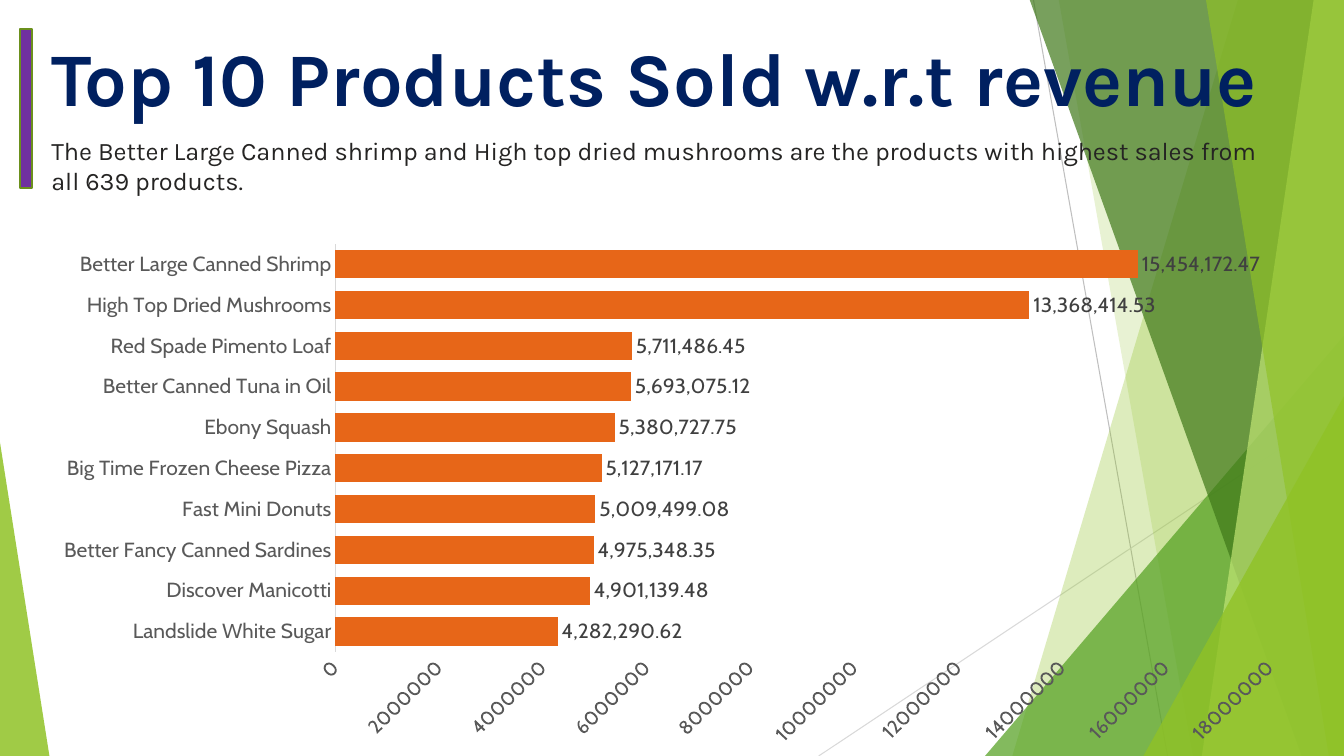
import dataclasses

import lxml.etree
import pptx
import pptx.chart.data
import pptx.dml.color
import pptx.enum.chart
import pptx.enum.shapes
import pptx.oxml.ns
import pptx.util

Inches = pptx.util.Inches
qn = pptx.oxml.ns.qn


@dataclasses.dataclass(frozen=True)
class Theme:
    lime: str = "90C226"
    leaf: str = "54A021"
    forest: str = "3F7819"
    pale: str = "C0E474"
    accent: str = "7030A0"
    accent_edge: str = "6B901C"
    bar: str = "E76618"
    heading: str = "002060"
    body: str = "252423"
    axis_text: str = "595959"
    label_text: str = "404040"
    light_line: str = "D9D9D9"
    line: str = "BFBFBF"
    text_font: str = "Karla"
    chart_font: str = "Cabin"
    title_size: int = 54
    body_size: int = 18
    label_size: int = 15
    value_size: int = 14
    hairline: float = 0.75


def rgb(code):
    return pptx.dml.color.RGBColor.from_string(code)


def style_font(font, name, size, color, bold=False):
    font.name = name
    font.size = pptx.util.Pt(size)
    font.color.rgb = rgb(color)
    font.bold = bold


def write_text(frame, text, **style):
    para = frame.paragraphs[0]
    span = para.add_run()
    span.text = text
    style_font(span.font, **style)


class SlideBuilder:
    def __init__(self, page, theme):
        self.page = page
        self.theme = theme

    def line(self, start, end, color):
        connector = self.page.shapes.add_connector(
            pptx.enum.shapes.MSO_CONNECTOR.STRAIGHT,
            *(Inches(value) for value in start + end))
        connector.line.color.rgb = rgb(color)
        connector.line.width = pptx.util.Pt(self.theme.hairline)
        lxml.etree.SubElement(connector.element.spPr, qn("a:effectLst"))

    def paint(self, shape, color, opacity=100):
        shape.shadow.inherit = False
        shape.fill.solid()
        shape.fill.fore_color.rgb = rgb(color)
        shape.line.fill.background()
        if opacity < 100:
            code = shape.element.spPr.find(qn("a:solidFill")).find(qn("a:srgbClr"))
            lxml.etree.SubElement(code, qn("a:alpha"), val=str(opacity * 1000))

    def band(self, top_left, bottom_left, color, opacity):
        top, bottom, right = -0.01, 7.5, 13.33
        corners = [(top_left, top), (right, top), (right, bottom), (bottom_left, bottom)]
        points = [(Inches(x), Inches(y)) for x, y in corners]
        outline = self.page.shapes.build_freeform(*points[0], scale=1.0)
        outline.add_line_segments(points[1:], close=True)
        self.paint(outline.convert_to_shape(), color, opacity)

    def shape(self, kind, area, color, opacity=100):
        shape = self.page.shapes.add_shape(kind, *(Inches(value) for value in area))
        self.paint(shape, color, opacity)
        return shape

    def triangle(self, area, apex, color, opacity):
        kind = pptx.enum.shapes.MSO_SHAPE.ISOSCELES_TRIANGLE
        self.shape(kind, area, color, opacity).adjustments[0] = apex

    def accent_bar(self, area):
        bar = self.shape(pptx.enum.shapes.MSO_SHAPE.MATH_MINUS, area, self.theme.accent)
        bar.rotation = 90
        bar.line.color.rgb = rgb(self.theme.accent_edge)
        bar.line.width = pptx.util.Pt(1.5)

    def text(self, area, text, inset_top=0, **style):
        box = self.page.shapes.add_textbox(*(Inches(value) for value in area))
        frame = box.text_frame
        frame.word_wrap = True
        frame.margin_left = frame.margin_right = frame.margin_bottom = 0
        frame.margin_top = Inches(inset_top)
        write_text(frame, text, name=self.theme.text_font, **style)

    def bar_chart(self, area, plot_area, products):
        theme = self.theme
        charts = pptx.enum.chart
        data = pptx.chart.data.CategoryChartData()
        data.categories = list(products)
        data.add_series("Series 1", list(products.values()))
        chart = self.page.shapes.add_chart(
            charts.XL_CHART_TYPE.BAR_CLUSTERED,
            *(Inches(value) for value in area), data).chart
        chart.has_legend = False
        chart.has_title = False
        style_font(chart.font, theme.chart_font, 10, "000000")

        plot = chart.plots[0]
        plot.gap_width = 44
        plot.vary_by_categories = False
        fill = plot.series[0].format.fill
        fill.solid()
        fill.fore_color.rgb = rgb(theme.bar)
        plot.has_data_labels = True
        labels = plot.data_labels
        labels.show_value = True
        labels.number_format = "#,##0.00"
        labels.number_format_is_linked = False
        labels.position = charts.XL_LABEL_POSITION.OUTSIDE_END
        style_font(labels.font, theme.chart_font, theme.label_size, theme.label_text)

        names, values = chart.category_axis, chart.value_axis
        for axis, size in ((names, theme.label_size), (values, theme.value_size)):
            axis.has_major_gridlines = False
            axis.major_tick_mark = axis.minor_tick_mark = charts.XL_TICK_MARK.NONE
            style_font(axis.tick_labels.font, theme.chart_font, size, theme.axis_text)
        names.format.line.color.rgb = rgb(theme.light_line)
        names.format.line.width = pptx.util.Pt(theme.hairline)
        values.format.line.fill.background()
        values.minimum_scale = 0
        values.maximum_scale = 18000000
        values.major_unit = 2000000
        values.tick_labels.number_format = "General"
        values.tick_labels.number_format_is_linked = False
        chart.element.xpath(".//c:valAx/c:txPr/a:bodyPr")[0].set("rot", "-2700000")
        self.place_plot(chart, plot_area)

    def place_plot(self, chart, plot_area):
        holder = chart.element.xpath(".//c:plotArea")[0]
        for old in holder.findall(qn("c:layout")):
            holder.remove(old)
        layout = lxml.etree.Element(qn("c:layout"))
        holder.insert(0, layout)
        manual = lxml.etree.SubElement(layout, qn("c:manualLayout"))
        settings = [("layoutTarget", "inner"), ("xMode", "edge"), ("yMode", "edge")]
        settings += zip("xywh", plot_area)
        for tag, value in settings:
            lxml.etree.SubElement(manual, qn("c:" + tag), val=str(value))


PRODUCTS = {
    "Landslide White Sugar": 4282290.62,
    "Discover Manicotti": 4901139.48,
    "Better Fancy Canned Sardines": 4975348.35,
    "Fast Mini Donuts": 5009499.08,
    "Big Time Frozen Cheese Pizza": 5127171.17,
    "Ebony Squash": 5380727.75,
    "Better Canned Tuna in Oil": 5693075.12,
    "Red Spade Pimento Loaf": 5711486.45,
    "High Top Dried Mushrooms": 13368414.53,
    "Better Large Canned Shrimp": 15454172.47,
}

theme = Theme()
deck = pptx.Presentation()
deck.slide_width, deck.slide_height = Inches(13.33), Inches(7.5)
builder = SlideBuilder(deck.slides.add_slide(deck.slide_layouts[6]), theme)

builder.line((10.25, 0), (11.58, 7.5), theme.line)
builder.line((13.33, 4.03), (8.12, 7.5), theme.light_line)
builder.band(12.28, 10.04, theme.lime, 30)
builder.band(10.5, 11.83, theme.lime, 20)
builder.triangle((9.77, 3.33, 3.56, 4.17), 1, theme.leaf, 72)
builder.band(10.21, 12.91, theme.forest, 70)
builder.band(13.03, 11.92, theme.pale, 70)
builder.band(11.96, 13.18, theme.lime, 65)
builder.triangle((11.34, 3.93, 1.99, 3.57), 1, theme.lime, 80)
builder.triangle((0, 4.39, 0.49, 3.11), 0, theme.lime, 85)

builder.text((0.51, 0.31, 12.63, 0.91), "Top 10 Products Sold w.r.t revenue",
             size=theme.title_size, color=theme.heading, bold=True)
builder.accent_bar((-0.82, 0.82, 2.15, 0.51))
builder.text((0.51, 1.05, 12.24, 1.21),
             "The Better Large Canned shrimp and High top dried mushrooms are the "
             "products with highest sales from all 639 products.",
             inset_top=0.29, size=theme.body_size, color=theme.body)
builder.bar_chart((0.51, 2.27, 12.63, 5.13), (0.223, 0.03, 0.734, 0.812), PRODUCTS)

deck.save("out.pptx")
